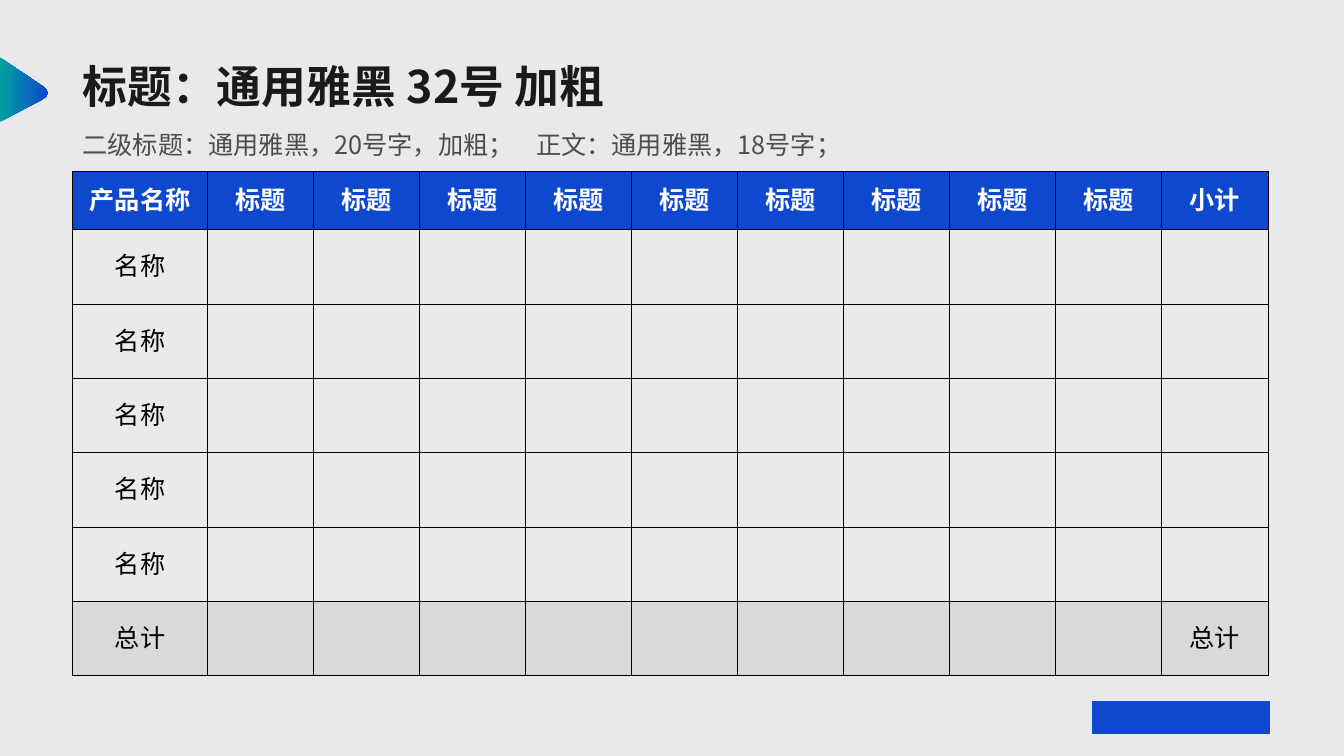
import dataclasses

import lxml.etree
import pptx
import pptx.dml.color
import pptx.enum.text
import pptx.oxml.ns
import pptx.util

Pt = pptx.util.Pt
qn = pptx.oxml.ns.qn


@dataclasses.dataclass(frozen=True)
class Theme:
    font: str = "Noto Sans CJK SC"
    back: str = "E9E9EC"
    blue: str = "0D48CE"
    teal: str = "00A0A0"
    head: str = "0E48CE"
    cell: str = "F2F2F2"
    sum: str = "D9D9D9"
    white: str = "FFFFFF"
    black: str = "000000"
    title: str = "1A1A1A"
    note: str = "4D4D4D"
    big: int = 32
    small: int = 18
    clear: int = 13


THEME = Theme()


def rgb(code):
    return pptx.dml.color.RGBColor.from_string(code)


def add_node(parent, tag, **attrs):
    return lxml.etree.SubElement(parent, qn(tag), attrs)


def style_text(para, size, color, bold=False):
    for run in para.runs:
        font = run.font
        font.size, font.bold, font.name = Pt(size), bold, THEME.font
        font.color.rgb = rgb(color)
        add_node(run._r.get_or_add_rPr(), "a:ea", typeface=THEME.font)


def set_holder(shape, text, box, size, color, bold=False):
    shape.left, shape.top, shape.width, shape.height = map(Pt, box)
    frame = shape.text_frame
    frame.text = text
    frame.word_wrap = True
    frame.auto_size = pptx.enum.text.MSO_AUTO_SIZE.NONE
    frame.vertical_anchor = pptx.enum.text.MSO_ANCHOR.TOP
    para = frame.paragraphs[0]
    para.alignment = pptx.enum.text.PP_ALIGN.LEFT
    para.space_before = Pt(0)
    style_text(para, size, color, bold)
    return para


def set_note(shape):
    text = "二级标题：通用雅黑，20号字，加粗；\t正文：通用雅黑，18号字；"
    para = set_holder(shape, text, (51.8, 85.7, 666.7, 30.2), THEME.small, THEME.note)
    para.line_spacing = Pt(25)
    props = para._p.get_or_add_pPr()
    props.set("marL", "0")
    props.set("indent", "0")
    add_node(props, "a:buNone")
    tabs = add_node(props, "a:tabLst")
    add_node(tabs, "a:tab", pos=str(Pt(337)), algn="l")


def add_outline(slide, points):
    first, *rest = [(Pt(x), Pt(y)) for x, y in points]
    build = slide.shapes.build_freeform(*first)
    build.add_line_segments(rest, close=True)
    shape = build.convert_to_shape()
    shape.shadow.inherit = False
    shape.line.fill.background()
    return shape


def add_wedge(slide):
    points = [(0, 41), (31, 62), (33.2, 64), (34, 66.3), (33.2, 68.6), (31, 70.6), (0, 87.1)]
    fill = add_outline(slide, points).fill
    fill.gradient()
    fill.gradient_angle = 0
    for stop, color in zip(fill.gradient_stops, (THEME.teal, THEME.blue)):
        stop.color.rgb = rgb(color)


def add_mark(slide):
    left, top, right, base = 780, 501, 907, 524
    shape = add_outline(slide, [(left, top), (right, top), (right, base), (left, base)])
    shape.fill.solid()
    shape.fill.fore_color.rgb = rgb(THEME.blue)


def set_edges(cell):
    props = cell._tc.get_or_add_tcPr()
    for spot, side in enumerate(("a:lnL", "a:lnR", "a:lnT", "a:lnB")):
        line = add_node(props, side, w=str(Pt(0.75)))
        add_node(add_node(line, "a:solidFill"), "a:srgbClr", val=THEME.black)
        props.insert(spot, line)


def set_cell(cell, text, fill, color, bold, clear=None):
    cell.fill.solid()
    cell.fill.fore_color.rgb = rgb(fill)
    if clear:
        shade = cell._tc.tcPr.find(".//" + qn("a:srgbClr"))
        add_node(shade, "a:alpha", val=str(clear * 1000))
    set_edges(cell)
    cell.margin_left = cell.margin_right = cell.margin_top = Pt(0.7)
    cell.margin_bottom = Pt(3.6)
    cell.vertical_anchor = pptx.enum.text.MSO_ANCHOR.MIDDLE
    if text:
        para = cell.text_frame.paragraphs[0]
        para.text = text
        para.alignment = pptx.enum.text.PP_ALIGN.CENTER
        style_text(para, THEME.small, color, bold)


def add_grid(slide, rows):
    count, width = len(rows), len(rows[0])
    frame = slide.shapes.add_table(count, width, Pt(51.8), Pt(122.4), Pt(854), Pt(360.7))
    table = frame.table
    for i, col in enumerate(table.columns):
        col.width = Pt(75.75 if i else 96.5)
    for i, (row, texts) in enumerate(zip(table.rows, rows)):
        row.height = Pt(53.1 if i else 41.7)
        if i == 0:
            look = (THEME.head, THEME.white, True)
        elif i == count - 1:
            look = (THEME.sum, THEME.black, False)
        else:
            look = (THEME.cell, THEME.black, False, THEME.clear)
        for cell, text in zip(row.cells, texts):
            set_cell(cell, text, *look)


def main():
    deck = pptx.Presentation()
    deck.slide_width, deck.slide_height = Pt(960), Pt(540)
    slide = deck.slides.add_slide(deck.slide_layouts[1])
    back = slide.background.fill
    back.solid()
    back.fore_color.rgb = rgb(THEME.back)
    title = "标题：通用雅黑 32号 加粗"
    set_holder(slide.shapes.title, title, (51.8, 38.2, 440.6, 46), THEME.big, THEME.title, True)
    set_note(slide.placeholders[1])
    add_mark(slide)
    add_wedge(slide)
    head = ["产品名称"] + ["标题"] * 9 + ["小计"]
    body = [["名称"] + [""] * 10] * 5
    total = ["总计"] + [""] * 9 + ["总计"]
    add_grid(slide, [head, *body, total])
    deck.save("out.pptx")


if __name__ == "__main__":
    main()
